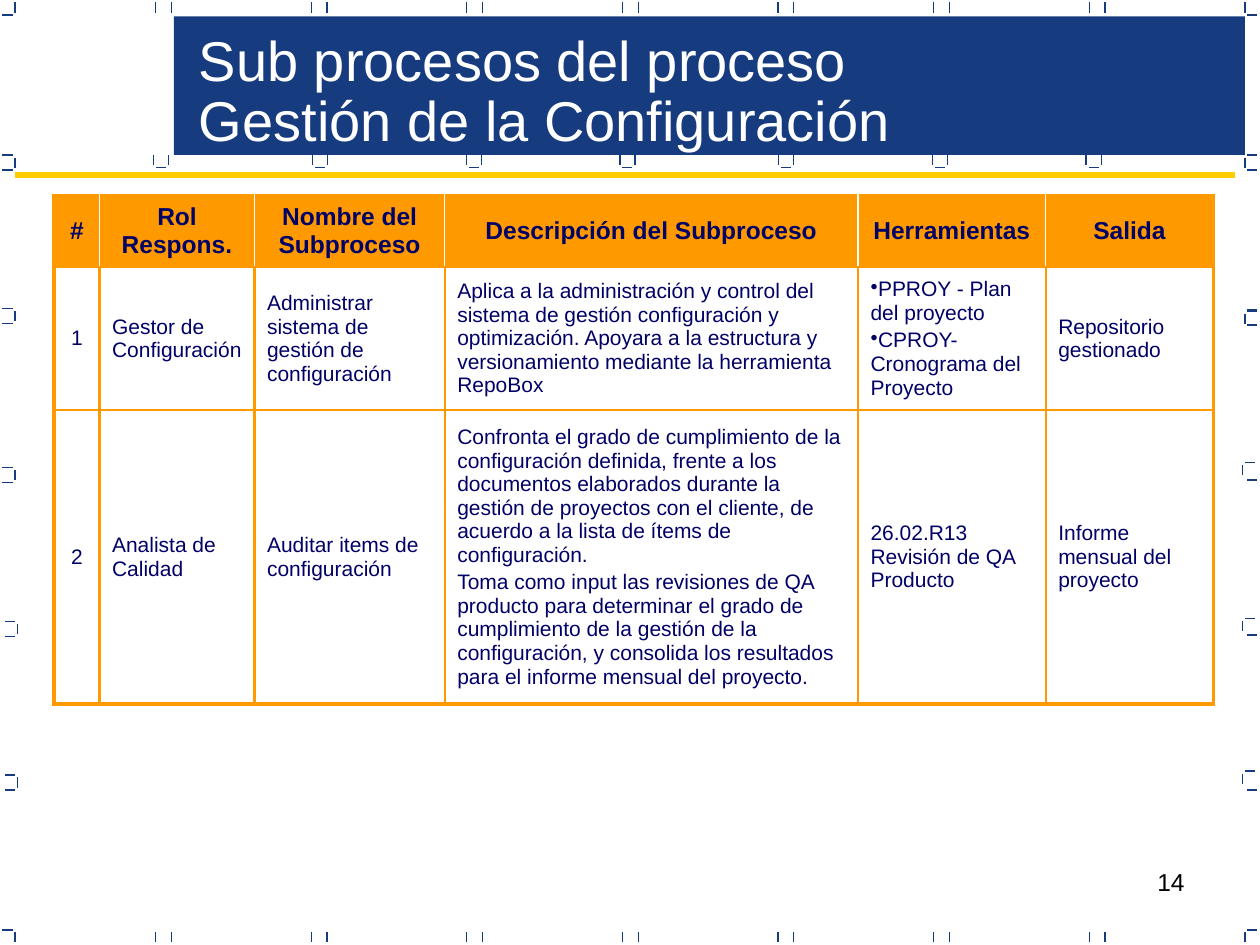
from dataclasses import dataclass

from lxml import etree
from pptx import Presentation, util as u
from pptx.dml.color import RGBColor
from pptx.enum import shapes, text
from pptx.oxml import ns

COLS, ROWS = 500, 375
TICK = 4


@dataclass(frozen=True)
class Theme:
    """Colours, font and type sizes of the slide."""
    navy: str = "163B7F"
    ink: str = "000066"
    orange: str = "FF9900"
    gold: str = "FFCC00"
    white: str = "FFFFFF"
    black: str = "000000"
    font: str = "Arial"
    title: int = 32
    head: int = 14
    body: int = 12


T = Theme()

HEADERS = ["#", "Rol Respons.", "Nombre del Subproceso",
           "Descripción del Subproceso", "Herramientas", "Salida"]
PROCESSES = [
    ["1", "Gestor de Configuración",
     "Administrar sistema de gestión de configuración",
     "Aplica a la administración y control del sistema de gestión configuración "
     "y optimización. Apoyara a la estructura y versionamiento mediante la "
     "herramienta RepoBox",
     ["PPROY - Plan del proyecto", "CPROY-Cronograma del Proyecto"],
     "Repositorio gestionado"],
    ["2", "Analista de Calidad", "Auditar items de configuración",
     "Confronta el grado de cumplimiento de la configuración definida, frente a "
     "los documentos elaborados durante la gestión de proyectos con el cliente, "
     "de acuerdo a la lista de ítems de configuración.\n"
     "Toma como input las revisiones de QA producto para determinar el grado de "
     "cumplimiento de la gestión de la configuración, y consolida los resultados "
     "para el informe mensual del proyecto.",
     "26.02.R13 Revisión de QA Producto", "Informe mensual del proyecto"],
]
COL_WIDTHS = [18, 61.5, 75.5, 164, 74.5, 66.5]
ROW_HEIGHTS = [28.5, 55, 109.5]


def cells(*counts):
    """Turn counts of grid cells into slide lengths."""
    return [u.Inches(n * 10 / COLS) for n in counts]


def rgb(colour):
    """Turn a hex string into a colour."""
    return RGBColor.from_string(colour)


def add_line(s, x1, y1, x2, y2, colour=T.navy, width=0.75):
    """Draw a straight line between two grid points."""
    c = s.shapes.add_connector(shapes.MSO_CONNECTOR.STRAIGHT, *cells(x1, y1, x2, y2))
    c.line.color.rgb = rgb(colour)
    c.line.width = u.Pt(width)
    etree.SubElement(c._element.spPr, ns.qn("a:effectLst"))


def upright(s, x, y):
    """Draw a vertical tick down from a grid point."""
    add_line(s, x, y, x, y + TICK)


def flat(s, x, y):
    """Draw a horizontal tick rightwards from a grid point."""
    add_line(s, x, y, x + TICK, y)


def add_run(p, words, size, colour, bold=False):
    """Append one formatted run to a paragraph."""
    r = p.add_run()
    r.text = words
    r.font.name, r.font.size, r.font.bold = T.font, u.Pt(size), bold
    r.font.color.rgb = rgb(colour)


def add_paragraphs(tf, lines):
    """Yield each line with its paragraph."""
    for i, line in enumerate(lines):
        yield (tf.add_paragraph() if i else tf.paragraphs[0]), line


def add_text(s, box, lines, size, colour, align=None, anchor="TOP", spacing=None):
    """Place a wrapped text box on the grid."""
    tf = s.shapes.add_textbox(*cells(*box)).text_frame
    tf.word_wrap = True
    tf.vertical_anchor = text.MSO_ANCHOR[anchor]
    for p, line in add_paragraphs(tf, lines):
        p.alignment, p.line_spacing = align, spacing
        add_run(p, line, size, colour)


def add_band(s):
    """Draw the title band."""
    sp = s.shapes.add_shape(shapes.MSO_SHAPE.RECTANGLE, *cells(69, 6.5, 425, 55))
    sp.shadow.inherit = False
    sp.fill.solid()
    sp.fill.fore_color.rgb = rgb(T.navy)
    sp.line.fill.background()


def add_frame_ticks(s):
    """Draw the tick marks at the edges, corners and under the band."""
    for i in range(1, 8):
        for x in (61.75 * i, 61.75 * i + 6.25):
            for y in (1, ROWS - 5):
                upright(s, x, y)
    for x, outer in ((6, 1), (COLS - 6, COLS - 5)):
        for y, edge in ((1, 6), (ROWS - 5, ROWS - 6)):
            upright(s, x, y)
            flat(s, outer, edge)
    for x, y in ((6, 66.5), (6, 127.5), (6, 190.5), (7, 251.5), (7, 312.5)):
        upright(s, x, y - TICK)
        flat(s, x - 5, y + 1)
        flat(s, x - 5, y - 5)
    for x, y in ((494, 66.5), (494, 128.5), (493, 188.5), (493, 250.5), (493, 311)):
        upright(s, x, y - TICK)
        flat(s, x + 1, y - 5)
    for y in (67.5, 123, 129, 190.5, 252, 313.5):
        flat(s, COLS - 5, y)
    for x in (61, 124, 185, 246, 309, 370, 431):
        upright(s, x, 61.5)
        upright(s, x + 6, 61.5)
        flat(s, x + 1, 66.5)


def set_borders(cell, borders):
    """Set cell borders, given as side, colour and width."""
    tcPr = cell._tc.get_or_add_tcPr()
    for i, (side, colour, width) in enumerate(borders):
        ln = etree.Element(ns.qn("a:ln" + side), w=str(u.Pt(width)))
        fill = etree.SubElement(ln, ns.qn("a:solidFill"))
        etree.SubElement(fill, ns.qn("a:srgbClr"), val=colour)
        tcPr.insert(i, ln)


def cell_borders(row, col):
    """Work out the borders of a cell from its place in the table."""
    inner = (T.orange, 1.5) if row else (T.white, 1)
    outer = (T.orange, 2.25)
    return [("L", *(inner if col else outer)),
            ("R", *(outer if col == len(COL_WIDTHS) - 1 else inner)),
            ("T", *((T.orange, 1.5) if row else outer)),
            ("B", *(outer if row == len(ROW_HEIGHTS) - 1 else (T.orange, 1.5)))]


def fill_cell(cell, row, col, content):
    """Write and style one table cell; a list becomes bullets."""
    bulleted = isinstance(content, list)
    size = T.body if row else T.head
    cell.vertical_anchor = text.MSO_ANCHOR.MIDDLE
    for p, line in add_paragraphs(cell.text_frame,
                                  content if bulleted else content.split("\n")):
        p.space_before = u.Pt(0.2 * size)
        if row == 0 or col == 0:
            p.alignment = text.PP_ALIGN.CENTER
        if bulleted:
            etree.SubElement(p._p.get_or_add_pPr(), ns.qn("a:buChar"), char="•")
        add_run(p, line, size, T.ink, bold=row == 0)
    if row:
        cell.fill.background()
    else:
        cell.fill.solid()
        cell.fill.fore_color.rgb = rgb(T.orange)
    set_borders(cell, cell_borders(row, col))


def add_process_table(s):
    """Build the table of subprocesses."""
    box = cells(21.5, 77.5, sum(COL_WIDTHS), sum(ROW_HEIGHTS))
    tbl = s.shapes.add_table(len(ROW_HEIGHTS), len(COL_WIDTHS), *box).table
    tbl.horz_banding = False
    for column, width in zip(tbl.columns, cells(*COL_WIDTHS)):
        column.width = width
    for row, height in zip(tbl.rows, cells(*ROW_HEIGHTS)):
        row.height = height
    for i, contents in enumerate([HEADERS] + PROCESSES):
        for j, content in enumerate(contents):
            fill_cell(tbl.cell(i, j), i, j, content)


def main():
    """Build and save the slide."""
    prs = Presentation()
    prs.slide_width, prs.slide_height = cells(COLS, ROWS)
    s = prs.slides.add_slide(prs.slide_layouts[6])
    add_text(s, (358.5, 341.5, 116.5, 26), ["14"], T.head, T.black,
             align=text.PP_ALIGN.RIGHT)
    add_band(s)
    add_frame_ticks(s)
    add_process_table(s)
    add_text(s, (74, 10.5, 416, 53),
             ["Sub procesos del proceso", "Gestión de la Configuración"],
             T.title, T.white, anchor="MIDDLE", spacing=0.9)
    add_line(s, 6, 69.5, 490, 69.5, T.gold, 3)
    prs.save("out.pptx")


main()
